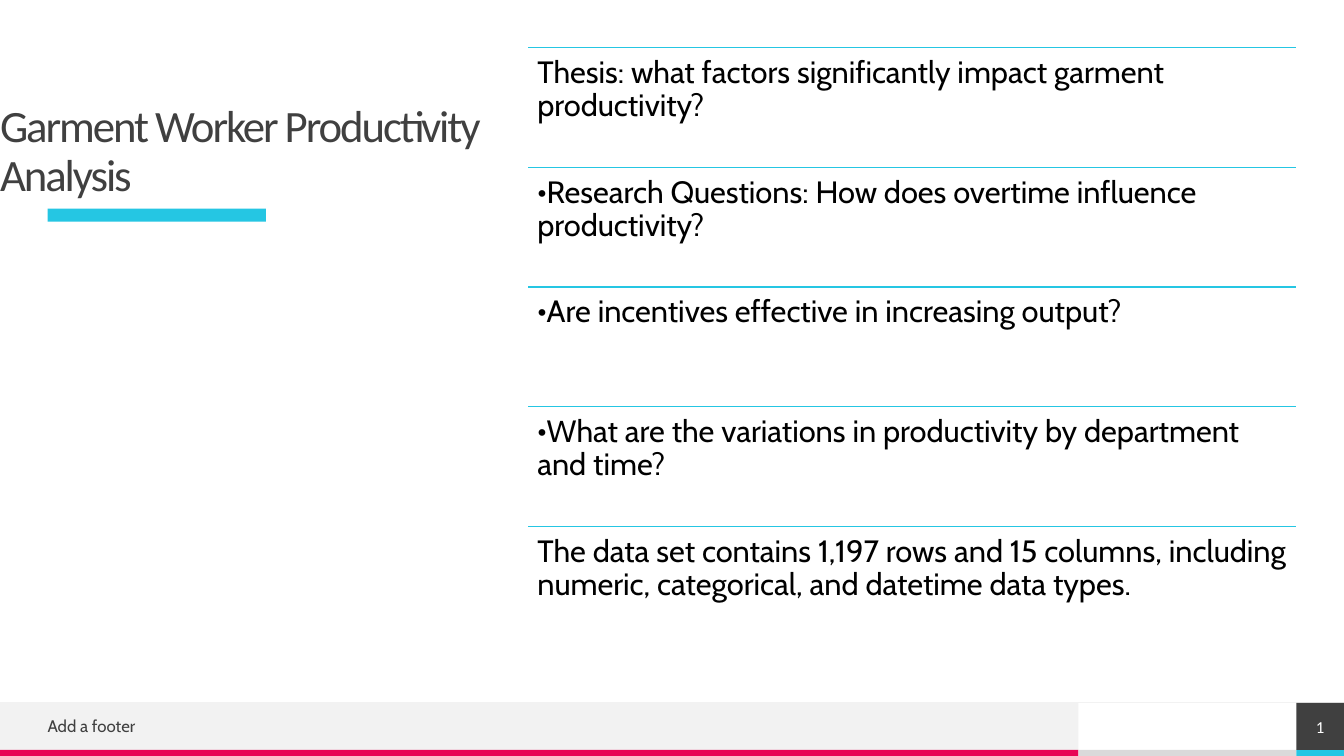
from lxml.etree import SubElement
from pptx import Presentation
from pptx.dml.color import RGBColor
from pptx.enum.shapes import MSO_CONNECTOR, MSO_SHAPE
from pptx.enum.text import MSO_ANCHOR, PP_ALIGN
from pptx.oxml.ns import qn
from pptx.util import Pt

CYAN = RGBColor(0x25, 0xC6, 0xE3)
PINK = RGBColor(0xE8, 0x05, 0x54)
CHARCOAL = RGBColor(0x40, 0x40, 0x40)
SILVER = RGBColor(0xDA, 0xDA, 0xDA)
MIST = RGBColor(0xF2, 0xF2, 0xF2)
WHITE = RGBColor(0xFF, 0xFF, 0xFF)
BLACK = RGBColor(0x00, 0x00, 0x00)

SLIDE_WIDTH, SLIDE_HEIGHT = 960, 540
MARGIN = 34
POINTS_LEFT = 377.2
POINTS_WIDTH = 548.7
POINT_HEIGHT = 85.5

POINTS = [
    ("Thesis: what factors significantly impact garment productivity?", False),
    ("Research Questions: How does overtime influence productivity?", True),
    ("Are incentives effective in increasing output?", True),
    ("What are the variations in productivity by department and time?", True),
    ("The data set contains 1,197 rows and 15 columns, including numeric, "
     "categorical, and datetime data types.", False),
]


def add_bar(slide, left, top, width, height, color):
    """Add a plain filled rectangle."""
    bar = slide.shapes.add_shape(
        MSO_SHAPE.RECTANGLE, Pt(left), Pt(top), Pt(width), Pt(height))
    bar.shadow.inherit = False
    bar.fill.solid()
    bar.fill.fore_color.rgb = color
    bar.line.fill.background()
    return bar


def add_rule(slide, left, top, width, color, weight):
    """Add a horizontal line."""
    rule = slide.shapes.add_connector(
        MSO_CONNECTOR.STRAIGHT, Pt(left), Pt(top), Pt(left + width), Pt(top))
    rule.line.color.rgb = color
    rule.line.width = Pt(weight)
    SubElement(rule._element.spPr, qn("a:effectLst"))


def add_box(slide, left, top, width, height, anchor=MSO_ANCHOR.MIDDLE, inset=0):
    """Add a wrapping text box and return its frame."""
    box = slide.shapes.add_textbox(Pt(left), Pt(top), Pt(width), Pt(height))
    return set_frame(box.text_frame, anchor, inset)


def set_frame(frame, anchor=MSO_ANCHOR.MIDDLE, inset=0):
    """Set wrapping, anchor and equal insets of a text frame."""
    frame.word_wrap = True
    frame.vertical_anchor = anchor
    frame.margin_left = frame.margin_right = Pt(inset)
    frame.margin_top = frame.margin_bottom = Pt(inset)
    return frame


def write(paragraph, text, *, size, color, font="Cabin", align=PP_ALIGN.LEFT,
          line_spacing=1.0, tracking=0, bullet=False):
    """Write formatted text into a paragraph."""
    paragraph.alignment = align
    paragraph.line_spacing = line_spacing
    if bullet:
        properties = paragraph._p.get_or_add_pPr()
        properties.set("marL", "0")
        properties.set("indent", "0")
        SubElement(properties, qn("a:buFont"), typeface=font)
        SubElement(properties, qn("a:buChar"), char="•")
    run = paragraph.add_run()
    run.text = text
    run.font.size = Pt(size)
    run.font.name = font
    run.font.color.rgb = color
    if tracking:
        run._r.get_or_add_rPr().set("spc", str(round(tracking * 100)))


def add_heading(slide, left, top, width, height):
    """Place the slide title and the accent bar below it."""
    heading = add_box(slide, left, top, width, height, MSO_ANCHOR.BOTTOM)
    write(heading.paragraphs[0], "Garment Worker Productivity Analysis", size=32,
          color=CHARCOAL, font="Calibri", line_spacing=0.9, tracking=-1.5)
    add_bar(slide, left + MARGIN, top + height + 5.7, 156, 9.2, CYAN)


def add_points(slide, left, top, width, row_height):
    """Place the ruled list of thesis, questions and data notes."""
    for index, (point, bullet) in enumerate(POINTS):
        row_top = top + index * row_height
        add_rule(slide, left, row_top, width, CYAN, 1)
        row = add_box(slide, left, row_top, width, row_height, MSO_ANCHOR.TOP, 6.6)
        write(row.paragraphs[0], point, size=22, color=BLACK,
              line_spacing=0.9, bullet=bullet)


def add_footer(slide, left, top, width, height):
    """Place the footer band, its colour strips, note and page number."""
    strip = 4.3
    band = height - strip
    gap_left = left + 770.4
    page_left = left + width - MARGIN
    add_bar(slide, left, top, gap_left - left, band, MIST)
    for strip_left, strip_right, color in (
            (left, gap_left, PINK),
            (gap_left, page_left, SILVER),
            (page_left, left + width, CYAN)):
        add_bar(slide, strip_left, top + band, strip_right - strip_left, strip, color)
    add_rule(slide, left, top, width, MIST, 0.5)
    note = add_box(slide, left + MARGIN, top + 5, 445.7, 23)
    write(note.paragraphs[0], "Add a footer", size=12, color=CHARCOAL)
    page = add_bar(slide, page_left, top, MARGIN, band, CHARCOAL)
    write(set_frame(page.text_frame).paragraphs[0], "1", size=12, color=WHITE,
          font="Calibri", align=PP_ALIGN.CENTER)


def main():
    """Build and save the slide."""
    deck = Presentation()
    deck.slide_width, deck.slide_height = Pt(SLIDE_WIDTH), Pt(SLIDE_HEIGHT)
    slide = deck.slides.add_slide(deck.slide_layouts[6])
    add_footer(slide, 0, 502, SLIDE_WIDTH, SLIDE_HEIGHT - 502)
    add_heading(slide, 0, MARGIN, POINTS_LEFT, 109.4)
    add_points(slide, POINTS_LEFT, MARGIN, POINTS_WIDTH, POINT_HEIGHT)
    deck.save("out.pptx")


if __name__ == "__main__":
    main()
